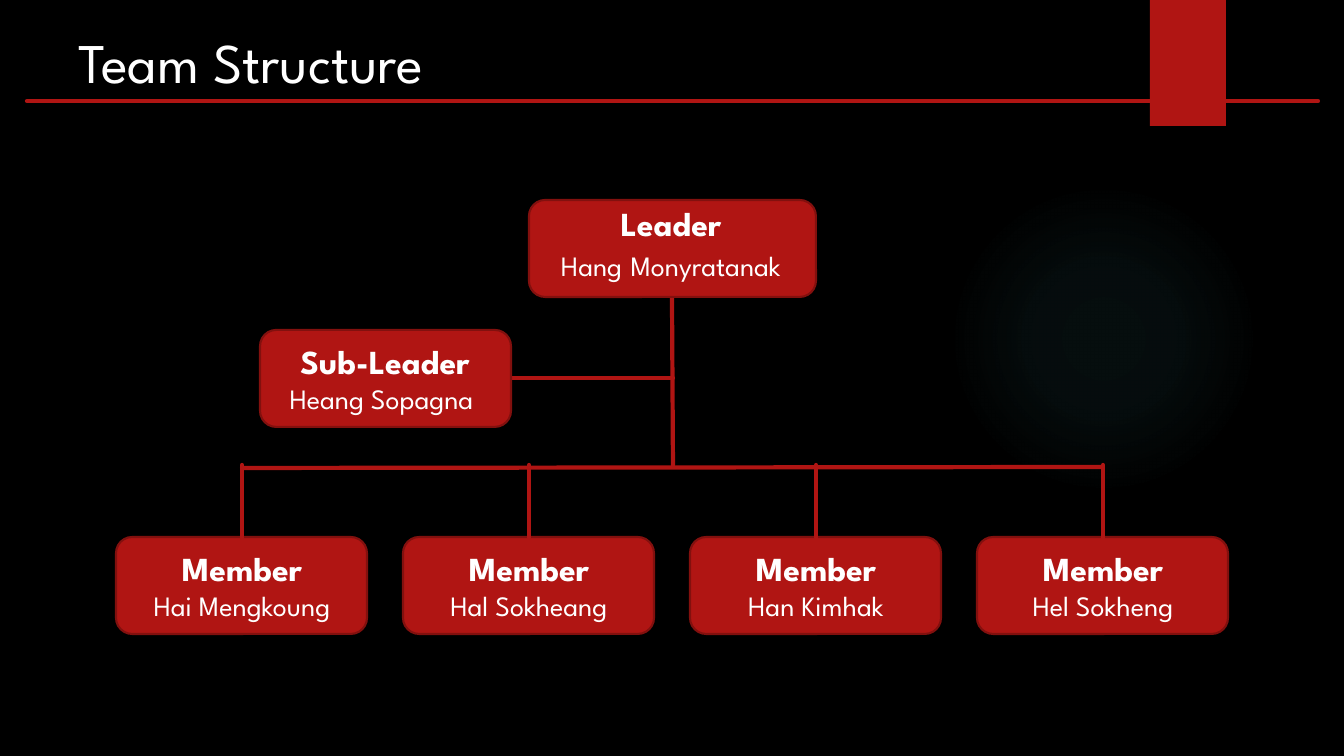
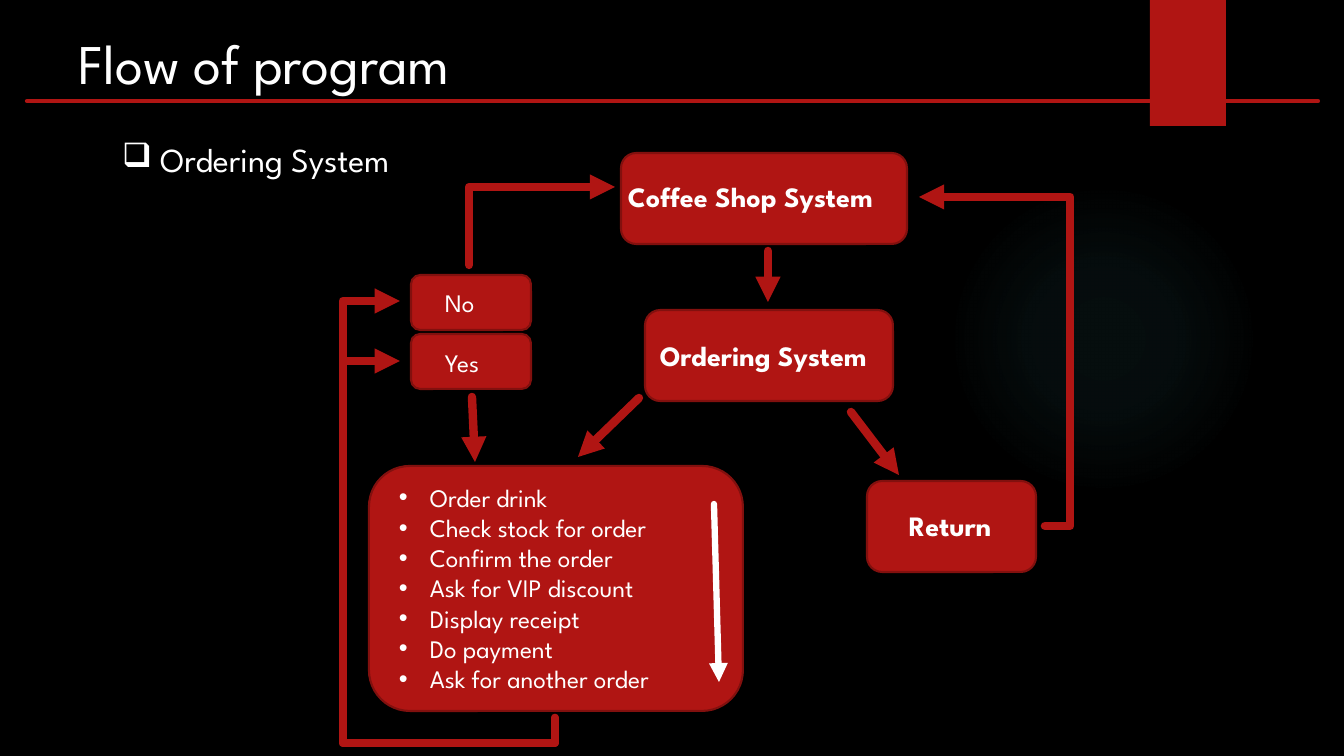
"""Builds the team structure slide and the program flow slide."""
import pptx
import pptx.dml.color
import pptx.enum.shapes
import pptx.enum.text
import pptx.oxml.ns
import pptx.util
import lxml.etree

SCALE = 914400 / 100.8
FONT = "League Spartan"
BLACK, WHITE, RED, DARK_RED, TEAL = "000000", "FFFFFF", "B01513", "82100E", "50B9C1"
SHAPES = pptx.enum.shapes.MSO_SHAPE
CONNECTORS = pptx.enum.shapes.MSO_CONNECTOR
ALIGN = pptx.enum.text.PP_ALIGN

GLOW_RECT = (949, 184, 310, 310)
GLOW_STOPS = [(0, 7), (36, 6), (69, 0)]
BAND_RECT = (1150, 0, 76, 126)
RULE = ((27, 101), (1318, 101))

TEAM_TITLE = ("Team Structure", (68, 22, 751, 78))
LEADERS = [
    ("Leader", [("Hang", 20), (" ", 24), ("Monyratanak", 20)],
     (529, 200, 287, 97), (526, 198, 290, 92)),
    ("Sub-Leader", [("Heang Sopagna ", 20)],
     (260, 330, 251, 97), (259, 336, 252, 85)),
]
MEMBERS = ["Hai Mengkoung", "Hal Sokheang", "Han Kimhak", "Hel Sokheng"]
MEMBER_CARD = (116, 537, 251, 97)
MEMBER_CAPTION = (136, 543, 212, 85)
MEMBER_DROP = ((242, 465), (242, 538))
MEMBER_PITCH = 287
TEAM_LINES = [
    ((673, 465), (672, 297)),
    ((242, 468), (1103, 467)),
    ((470, 378), (673, 378)),
]

FLOW_TITLE = ("Flow of program", (68, 23, 676, 78))
FLOW_HEADING = ("Ordering System", (112, 134, 352, 50))
FLOW_BOXES = [
    ("Ordering System", 20, True, (645, 310, 248, 91), (650, 334, 243, 44)),
    ("Coffee Shop System", 20, True, (621, 153, 286, 91), (618, 175, 292, 44)),
    ("Yes", 18, False, (411, 334, 120, 55), (435, 342, 74, 40)),
    ("No ", 18, False, (411, 275, 120, 55), (435, 282, 74, 40)),
    ("Return", 20, True, (867, 481, 169, 91), (899, 504, 115, 44)),
]
STEPS_CARD = (369, 466, 374, 245)
STEPS_RECT = (389, 477, 335, 224)
STEPS = [
    "Order drink ",
    "Check stock for order",
    "Confirm the order",
    "Ask for VIP discount",
    "Display receipt",
    "Do payment",
    "Ask for another order ",
]
FLOW_ARROWS = [
    ((768, 251), (768, 302), RED, 6),
    ((472, 397), (475, 462), RED, 6),
    ((851, 412), (899, 475), RED, 6),
    ((639, 398), (578, 457), RED, 6),
    ((714, 504), (719, 682), WHITE, 4.5),
]
FLOW_ROUTES = [
    ("bentConnector3", (1045, 526), (919, 197), False, [-20100]),
    ("bentConnector4", (555, 718), (400, 361), True, [-7000, 136700]),
    ("bentConnector4", (555, 718), (400, 301), True, [-6000, 136900]),
    ("bentConnector2", (469, 265), (615, 187), True, []),
]


def px(value):
    return pptx.util.Emu(round(value * SCALE))


def color(value):
    return pptx.dml.color.RGBColor.from_string(value)


def apply_format(target, values):
    for name, value in values.items():
        setattr(target, name, value)


def add_child(parent, tag, **attributes):
    child = lxml.etree.SubElement(parent, pptx.oxml.ns.qn(tag))
    for name, value in attributes.items():
        child.set(name, str(value))
    return child


def place(shape, rect):
    apply_format(shape, dict(zip(("left", "top", "width", "height"), map(px, rect))))


def add_box(slide, kind, rect, fill=None, line=None):
    shape = slide.shapes.add_shape(kind, *map(px, rect))
    shape.shadow.inherit = False
    if fill:
        shape.fill.solid()
        shape.fill.fore_color.rgb = color(fill)
    if line:
        shape.line.color.rgb = color(line)
        shape.line.width = pptx.util.Pt(1.5)
    else:
        shape.line.fill.background()
    return shape


def add_card(slide, rect):
    return add_box(slide, SHAPES.ROUNDED_RECTANGLE, rect, RED, DARK_RED)


def add_line(slide, start, end, line=RED, width=3, arrow=False, kind=CONNECTORS.STRAIGHT):
    connector = slide.shapes.add_connector(kind, *map(px, (*start, *end)))
    connector.line.color.rgb = color(line)
    connector.line.width = pptx.util.Pt(width)
    outline = connector.get_or_add_ln()
    outline.set("cap", "rnd")
    if arrow:
        add_child(outline, "a:tailEnd", type="triangle")
    add_child(connector.element.spPr, "a:effectLst")
    return connector


def add_route(slide, preset, start, end, turned, adjustments):
    if turned:
        center_x, center_y = (start[0] + end[0]) / 2, (start[1] + end[1]) / 2
        start, end = [(center_x + y - center_y, center_y - x + center_x)
                      for x, y in (start, end)]
    connector = add_line(slide, start, end, RED, 6, True, CONNECTORS.ELBOW)
    properties = connector.element.spPr
    if turned:
        properties.find(pptx.oxml.ns.qn("a:xfrm")).set("rot", "5400000")
    geometry = properties.find(pptx.oxml.ns.qn("a:prstGeom"))
    geometry.set("prst", preset)
    for guide in list(geometry):
        geometry.remove(guide)
    values = add_child(geometry, "a:avLst")
    for number, value in enumerate(adjustments, 1):
        add_child(values, "a:gd", name=f"adj{number}", fmla=f"val {value}")


def write_text(shape, paragraphs, align=ALIGN.LEFT, bullet=None):
    """Fills a shape with paragraphs, each a list of (text, size, bold) runs."""
    frame = shape.text_frame
    apply_format(frame, {
        "word_wrap": True,
        "auto_size": pptx.enum.text.MSO_AUTO_SIZE.SHAPE_TO_FIT_TEXT,
        "vertical_anchor": pptx.enum.text.MSO_ANCHOR.TOP,
    })
    for index, runs in enumerate(paragraphs):
        paragraph = frame.add_paragraph() if index else frame.paragraphs[0]
        apply_format(paragraph, {"alignment": align, "space_before": pptx.util.Pt(0)})
        if bullet:
            typeface, character, indent = bullet
            properties = paragraph._p.get_or_add_pPr()
            properties.set("marL", str(px(indent)))
            properties.set("indent", str(-px(indent)))
            add_child(properties, "a:buFont", typeface=typeface)
            add_child(properties, "a:buChar", char=character)
        for text, size, bold in runs:
            run = paragraph.add_run()
            run.text = text
            apply_format(run.font, {"name": FONT, "size": pptx.util.Pt(size), "bold": bold})
            run.font.color.rgb = color(WHITE)


def add_text(slide, rect, paragraphs, **options):
    write_text(slide.shapes.add_textbox(*map(px, rect)), paragraphs, **options)


def add_person(slide, role, name_runs, card, caption):
    add_card(slide, card)
    name = [(text, size, False) for text, size in name_runs]
    add_text(slide, caption, [[(role, 24, True)], name], align=ALIGN.CENTER)


def add_titled_slide(presentation, layout, title):
    slide = presentation.slides.add_slide(presentation.slide_layouts[layout])
    text, rect = title
    place(slide.shapes.title, rect)
    write_text(slide.shapes.title, [[(text, 40, False)]])
    return slide


def decorate_master(presentation, slide):
    """Draws the glow, band and rule, then moves them to the slide master."""
    master = presentation.slide_master
    master.background.fill.solid()
    master.background.fill.fore_color.rgb = color(BLACK)
    glow = add_box(slide, SHAPES.OVAL, GLOW_RECT)
    gradient = add_child(glow.element.spPr, "a:gradFill", rotWithShape=1)
    stops = add_child(gradient, "a:gsLst")
    for position, opacity in GLOW_STOPS:
        stop = add_child(stops, "a:gs", pos=position * 1000)
        tint = add_child(stop, "a:srgbClr", val=TEAL)
        add_child(tint, "a:alpha", val=opacity * 1000)
    focus = add_child(gradient, "a:path", path="circle")
    add_child(focus, "a:fillToRect", l=50000, t=50000, r=50000, b=50000)
    glow.element.spPr.insert(2, gradient)
    band = add_box(slide, SHAPES.RECTANGLE, BAND_RECT, RED)
    rule = add_line(slide, *RULE)
    for number, shape in enumerate((glow, band, rule), 20):
        shape.element.xpath("./*/p:cNvPr")[0].set("id", str(number))
        master.shapes.element.append(shape.element)


def build_team(presentation):
    slide = add_titled_slide(presentation, 5, TEAM_TITLE)
    decorate_master(presentation, slide)
    for start, end in TEAM_LINES:
        add_line(slide, start, end)
    for person in LEADERS:
        add_person(slide, *person)
    for index, name in enumerate(MEMBERS):
        offset = index * MEMBER_PITCH
        card, caption = [(left + offset, *rest)
                         for left, *rest in (MEMBER_CARD, MEMBER_CAPTION)]
        add_person(slide, "Member", [(name, 20)], card, caption)
        add_line(slide, *[(x + offset, y) for x, y in MEMBER_DROP])


def build_flow(presentation):
    slide = add_titled_slide(presentation, 1, FLOW_TITLE)
    heading, heading_rect = FLOW_HEADING
    body = slide.placeholders[1]
    place(body, heading_rect)
    write_text(body, [[(heading, 24, False)]], bullet=("Wingdings", "q", 38))
    for text, size, bold, card, caption in FLOW_BOXES:
        add_card(slide, card)
        add_text(slide, caption, [[(text, size, bold)]])
    add_card(slide, STEPS_CARD)
    add_text(slide, STEPS_RECT, [[(step, 18, False)] for step in STEPS],
             bullet=("Arial", "•", 31))
    for route in FLOW_ROUTES:
        add_route(slide, *route)
    for arrow in FLOW_ARROWS:
        add_line(slide, *arrow, arrow=True)


presentation = pptx.Presentation()
apply_format(presentation, {"slide_width": px(1344), "slide_height": px(756)})
build_team(presentation)
build_flow(presentation)
presentation.save("out.pptx")
